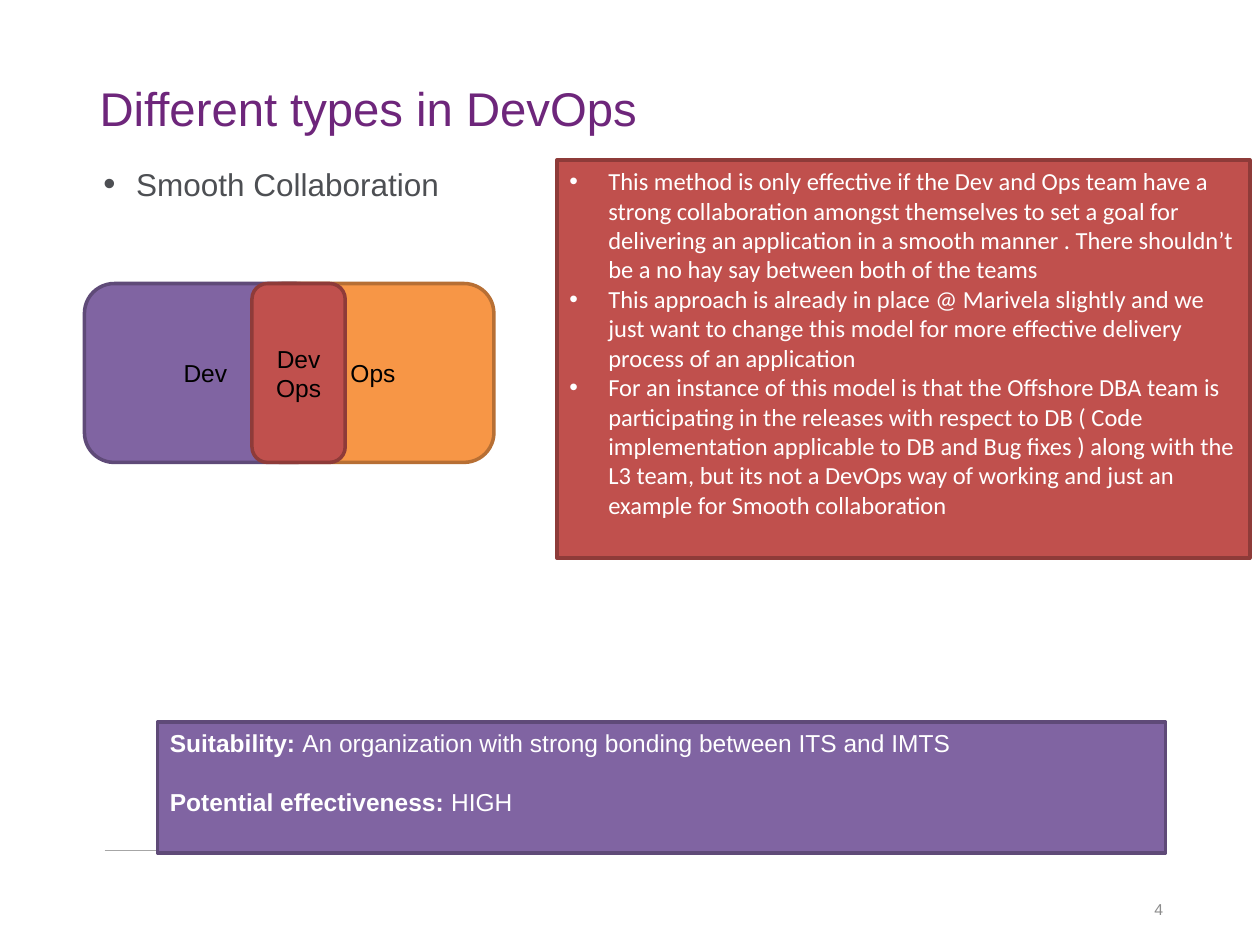
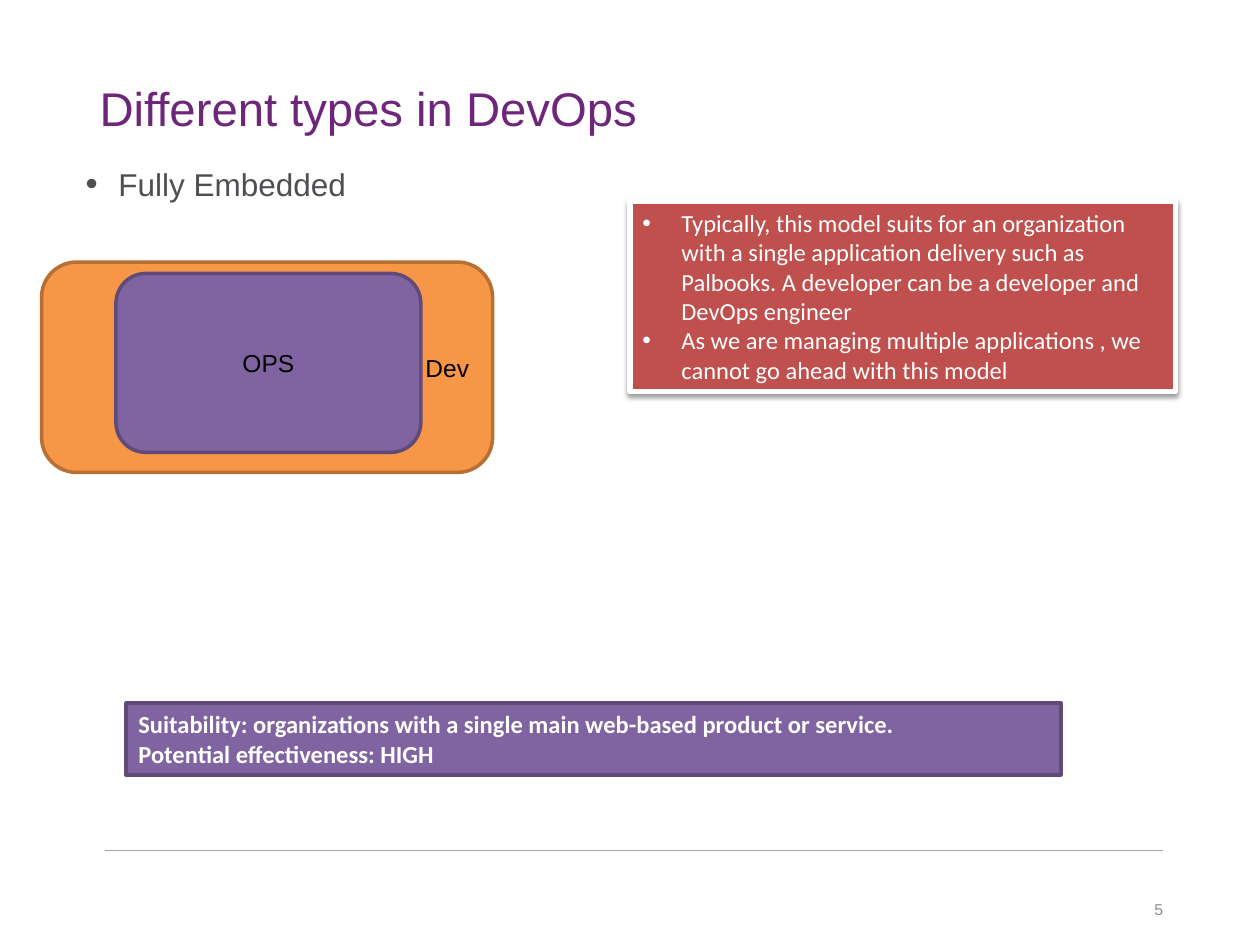
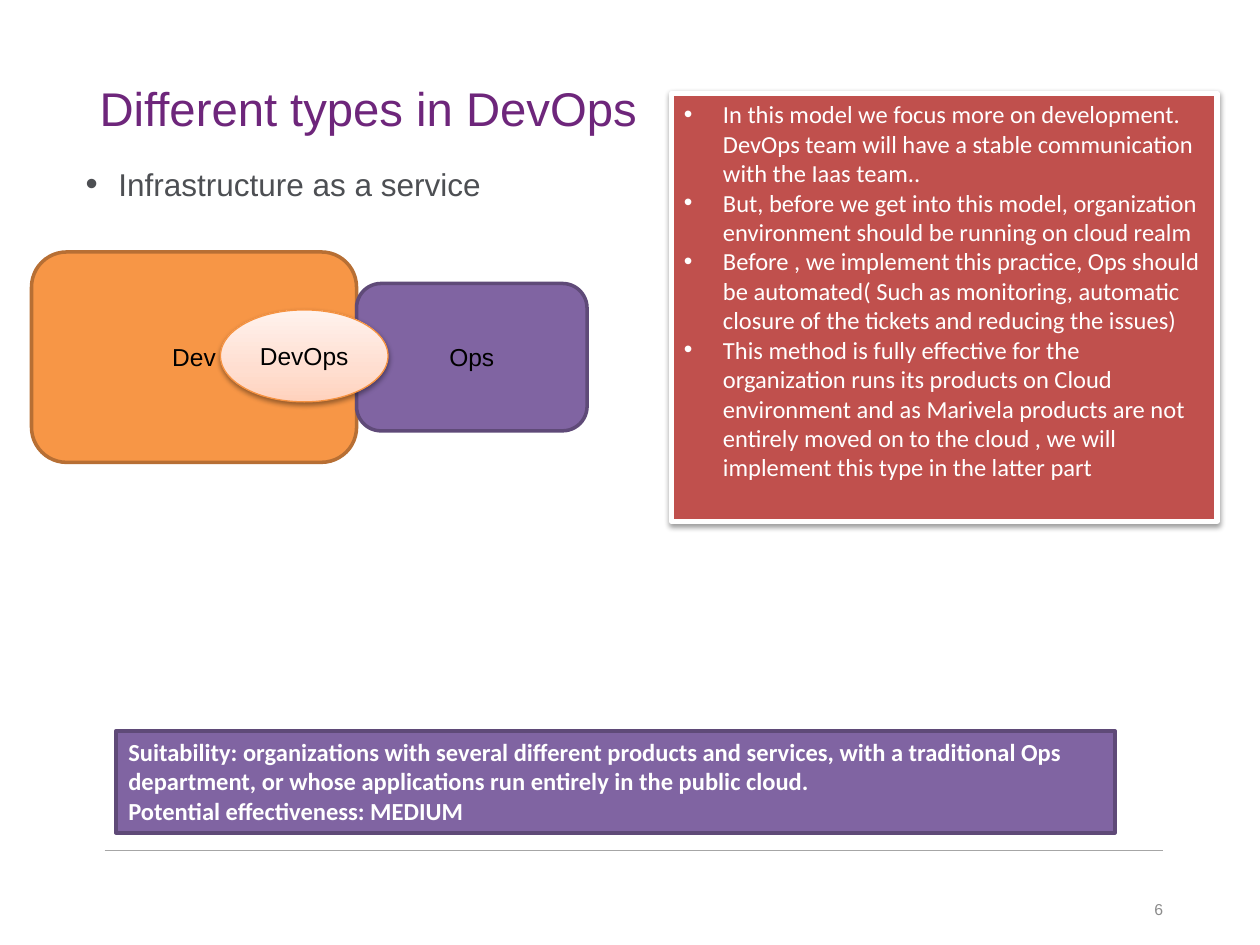
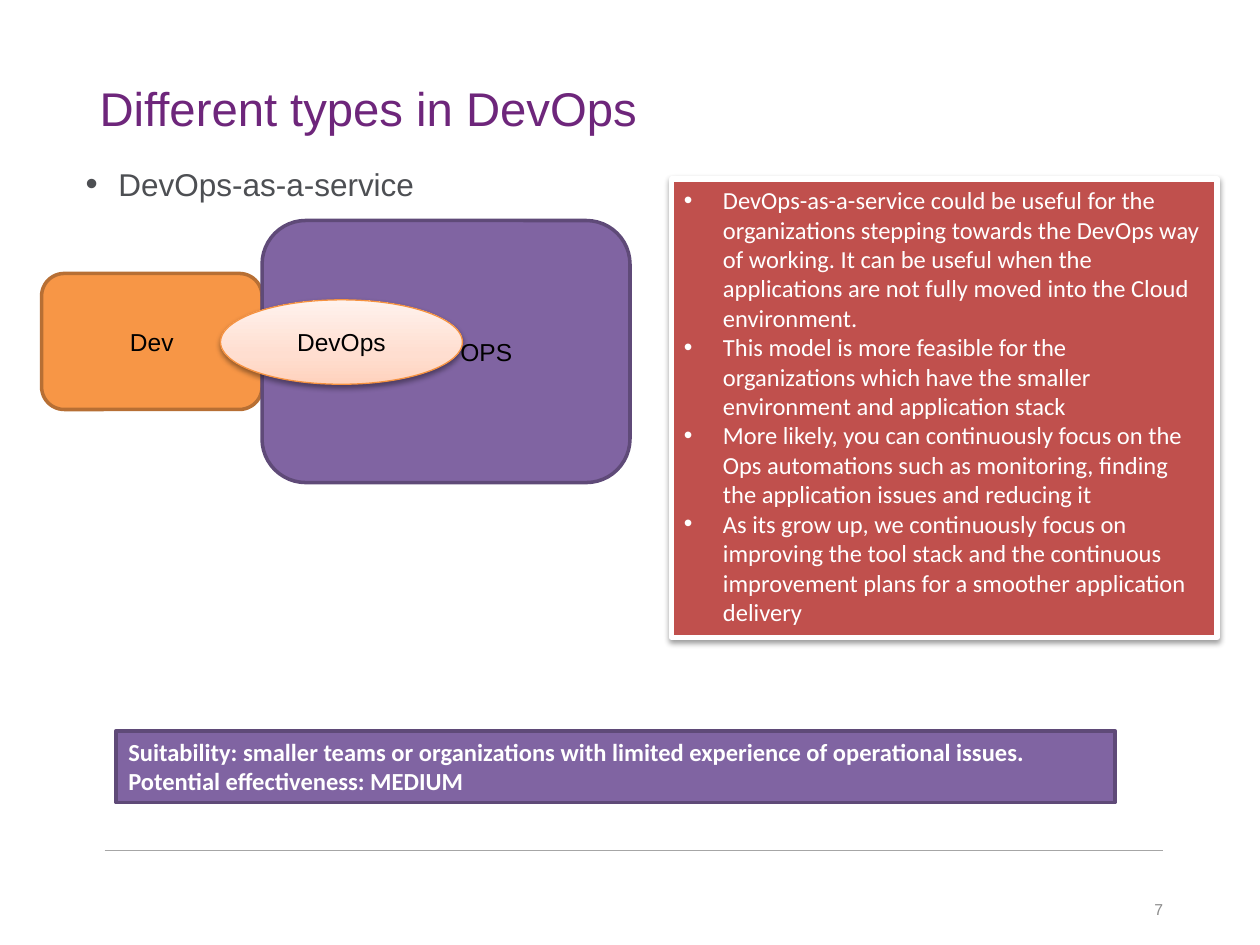
from dataclasses import dataclass
from pptx import Presentation
from pptx.dml.color import RGBColor
from pptx.enum.shapes import MSO_CONNECTOR, MSO_SHAPE
from pptx.enum.text import MSO_ANCHOR, MSO_AUTO_SIZE, PP_ALIGN
from pptx.oxml import parse_xml
from pptx.oxml.ns import nsdecls, qn
from pptx.util import Inches, Pt

RECT, ROUNDED, OVAL = MSO_SHAPE.RECTANGLE, MSO_SHAPE.ROUNDED_RECTANGLE, MSO_SHAPE.OVAL
STRAIGHT = MSO_CONNECTOR.STRAIGHT
TOP, MIDDLE = MSO_ANCHOR.TOP, MSO_ANCHOR.MIDDLE
LEFT, CENTER, RIGHT = PP_ALIGN.LEFT, PP_ALIGN.CENTER, PP_ALIGN.RIGHT
NO_AUTOFIT = MSO_AUTO_SIZE.NONE


@dataclass(frozen=True)
class Theme:
    """Colours, fonts and type sizes of the deck."""
    heading: str = "6E267B"
    body: str = "4D4F53"
    number: str = "8C8C8C"
    rule: str = "A6A6A6"
    white: str = "FFFFFF"
    black: str = "000000"
    purple: tuple = ("8064A2", "5F4A78")
    orange: tuple = ("F79646", "B76F34")
    red: tuple = ("C0504D", "8E3B39")
    oval_line: str = "F69240"
    oval_stops: tuple = ((0, "FFD2BD"), (35, "FFDED0"), (100, "FFF2ED"))
    sans: str = "Arial"
    text: str = "Calibri"
    title_size: float = 27
    topic_size: float = 18
    label_size: float = 14
    number_size: float = 9


THEME = Theme()
TITLE = "Different types in DevOps"
FIRST_NUMBER = 4
BODY_BOX = (0.33, 1.2, 9.5, 5.55)

SLIDES = [
    {
        "topic": "Smooth Collaboration",
        "body_box": (0.47, 1.2, 9.53, 5.45),
        "notes_box": (4.42, 1.27, 5.5, 3.16),
        "framed": False,
        "notes": [
            "This method is only effective if the Dev and Ops team have a strong collaboration amongst "
            "themselves to set a goal for delivering an application in a smooth manner . There "
            "shouldn\u2019t be a no hay say between both of the teams",
            "This approach is already in place @ Marivela slightly and we just want to change this "
            "model for more effective delivery process of an application",
            "For an instance of this model is that the Offshore DBA team is participating in the "
            "releases with respect to DB ( Code implementation applicable to DB and Bug fixes ) along "
            "with the L3 team, but its not a DevOps way of working and just an example for Smooth "
            "collaboration",
        ],
        "verdict_box": (1.25, 5.73, 8, 1.04),
        "verdict_font": THEME.sans,
        "verdict": [
            [("Suitability: ", True), ("An organization with strong bonding between ITS and IMTS", False)],
            [("Potential effectiveness: ", True), ("HIGH", False)],
        ],
        "teams": [
            ("Ops", THEME.orange, (2, 2.25, 1.92, 1.42), 0),
            ("Dev", THEME.purple, (0.67, 2.25, 1.92, 1.42), 0),
            ("DevOps", THEME.red, (2, 2.25, 0.74, 1.42), 0),
        ],
    },
    {
        "topic": "Fully Embedded",
        "notes_box": (5, 1.6, 4.33, 1.51),
        "notes": [
            "Typically, this model suits for an organization with a single application delivery such "
            "as Palbooks. A developer can be a developer and DevOps engineer",
            "As we are managing multiple applications , we cannot go ahead with this model",
        ],
        "verdict_box": (1, 5.58, 7.42, 0.57),
        "verdict": [[("Suitability: organizations with a single main web-based product or service."
                      "\vPotential effectiveness: HIGH", True)]],
        "teams": [
            ("Dev", THEME.orange, (0.33, 2.08, 3.58, 1.67), 2.86),
            ("OPS", THEME.purple, (0.92, 2.17, 2.42, 1.42), 0),
        ],
    },
    {
        "topic": "Infrastructure as a service",
        "notes_box": (5.33, 0.74, 4.33, 3.4),
        "notes": [
            "In this model we focus more on development. DevOps team will have a stable communication "
            "with the Iaas team..",
            "But, before we get into this model, organization environment should be running on cloud "
            "realm",
            "Before , we implement this practice, Ops should be automated( Such as monitoring, "
            "automatic closure of the tickets and reducing the issues)",
            "This method is fully effective for the organization runs its products on Cloud "
            "environment and as Marivela products are not entirely moved on to the cloud , we will "
            "implement this type in the latter part",
        ],
        "verdict_box": (0.92, 5.8, 7.93, 0.81),
        "verdict": [[("Suitability:\u00a0organizations with several different products and services, "
                      "with a traditional Ops department, or whose applications run entirely in the "
                      "public cloud.\vPotential effectiveness: MEDIUM", True)]],
        "teams": [
            ("Dev", THEME.orange, (0.25, 2, 2.58, 1.67), 0),
            ("Ops", THEME.purple, (2.83, 2.25, 1.83, 1.17), 0),
        ],
        "overlap": (1.75, 2.46, 1.33, 0.73),
    },
    {
        "topic": "DevOps-as-a-service",
        "notes_box": (5.33, 1.42, 4.33, 3.64),
        "notes": [
            "DevOps-as-a-service could be useful for the organizations stepping towards the DevOps "
            "way of working. It can be useful when the applications are not fully moved into the "
            "Cloud environment.",
            "This model is more feasible for the organizations which have the smaller environment "
            "and application stack",
            "More likely, you can continuously focus on the Ops automations such as monitoring, "
            "finding the application issues and reducing it",
            "As its grow up, we continuously focus on improving the tool stack and the continuous "
            "improvement plans for a smoother application delivery",
        ],
        "verdict_box": (0.92, 5.8, 7.93, 0.57),
        "verdict": [[("Suitability: smaller teams or organizations with limited experience of "
                      "operational issues.\vPotential effectiveness: MEDIUM", True)]],
        "teams": [
            ("Dev", THEME.orange, (0.33, 2.17, 1.75, 1.08), 0),
            ("OPS", THEME.purple, (2.08, 1.75, 2.92, 2.08), 0.64),
        ],
        "overlap": (1.75, 2.38, 1.92, 0.67),
    },
]


def rgb(value):
    """Turn a hex string into a colour."""
    return RGBColor.from_string(value)


def style_run(run, size, color, font, bold=False):
    """Format one run of text."""
    run.font.size, run.font.name, run.font.bold = Pt(size), font, bold
    run.font.color.rgb = rgb(color)


def style_paragraph(paragraph, size, color, font, align=LEFT):
    """Align a paragraph and format all its runs."""
    paragraph.alignment = align
    for run in paragraph.runs:
        style_run(run, size, color, font)


def set_indent(paragraph, margin, first=0):
    """Set the left margin and the first-line indent."""
    properties = paragraph._p.get_or_add_pPr()
    properties.set("marL", str(Inches(margin)))
    properties.set("indent", str(Inches(first)))
    return properties


def set_bullet(paragraph, margin, color, percent=100):
    """Give a paragraph a hanging round bullet."""
    hang = -0.26 if percent > 100 else -margin
    properties = set_indent(paragraph, margin, hang)
    for markup in (
        f'<a:buClr {nsdecls("a")}><a:srgbClr val="{color}"/></a:buClr>',
        f'<a:buSzPct {nsdecls("a")} val="{percent * 1000}"/>',
        f'<a:buFont {nsdecls("a")} typeface="{THEME.sans}"/>',
        f'<a:buChar {nsdecls("a")} char="\u2022"/>',
    ):
        properties.append(parse_xml(markup))


def place(shape, box):
    """Move and size a shape by left, top, width and height."""
    shape.left, shape.top, shape.width, shape.height = map(Inches, box)


def set_frame(shape, anchor):
    """Fix the wrapping and anchoring of a text frame."""
    frame = shape.text_frame
    frame.word_wrap, frame.auto_size, frame.vertical_anchor = True, NO_AUTOFIT, anchor
    return frame


def add_panel(slide, kind, box, fill, line, width, anchor):
    """Add a flat filled shape."""
    panel = slide.shapes.add_shape(kind, *map(Inches, box))
    panel.fill.solid()
    panel.fill.fore_color.rgb = rgb(fill)
    panel.line.color.rgb = rgb(line)
    panel.line.width = Pt(width)
    panel.shadow.inherit = False
    set_frame(panel, anchor)
    return panel


def add_shadow(shape):
    """Cast a soft shadow straight down."""
    shape.element.spPr.find(qn("a:effectLst")).append(parse_xml(
        f'<a:outerShdw {nsdecls("a")} blurRad="{Pt(3.1)}" dist="{Pt(1.6)}" dir="5400000" '
        f'rotWithShape="0"><a:srgbClr val="{THEME.black}"><a:alpha val="38000"/></a:srgbClr>'
        '</a:outerShdw>'))


def set_gradient(shape, stops):
    """Fill a shape with a gradient that runs upwards."""
    marks = "".join(f'<a:gs pos="{position * 1000}"><a:srgbClr val="{color}"/></a:gs>'
                    for position, color in stops)
    properties = shape.element.spPr
    properties.replace(properties.find(qn("a:solidFill")), parse_xml(
        f'<a:gradFill {nsdecls("a")} rotWithShape="1"><a:gsLst>{marks}</a:gsLst>'
        '<a:lin ang="16200000" scaled="0"/></a:gradFill>'))


def add_footer(slide, number):
    """Draw the footer rule and the slide number."""
    rule = slide.shapes.add_connector(STRAIGHT, *map(Inches, (0.83, 6.75, 9.23, 6.75)))
    rule.line.color.rgb = rgb(THEME.rule)
    rule.line.width = Pt(0.75)
    rule.element.spPr.append(parse_xml(f'<a:effectLst {nsdecls("a")}/>'))
    number_box = slide.shapes.add_textbox(*map(Inches, (7, 7.02, 2.33, 0.4)))
    frame = set_frame(number_box, MIDDLE)
    frame.text = str(number)
    style_paragraph(frame.paragraphs[0], THEME.number_size, THEME.number, THEME.sans, RIGHT)


def fill_placeholders(slide, topic, body_box):
    """Write the slide title and its topic bullet."""
    title, body = slide.shapes.title, slide.placeholders[1]
    place(title, (0.5, 0.5, 9, 0.7))
    heading = set_frame(title, MIDDLE)
    heading.text = TITLE
    style_paragraph(heading.paragraphs[0], THEME.title_size, THEME.heading, THEME.sans)
    set_indent(heading.paragraphs[0], 0.19)
    place(body, body_box)
    frame = set_frame(body, TOP)
    frame.text = topic
    paragraph = frame.paragraphs[0]
    style_paragraph(paragraph, THEME.topic_size, THEME.body, THEME.sans)
    paragraph.line_spacing, paragraph.space_before = 1.2, Pt(8.4)
    set_bullet(paragraph, 0.51, THEME.body, 110)


def add_notes_panel(slide, box, notes, framed):
    """Add the red panel of bulleted remarks."""
    fill, edge = THEME.red
    line, width = (THEME.white, 3) if framed else (edge, 2)
    panel = add_panel(slide, RECT, box, fill, line, width, TOP)
    if framed:
        add_shadow(panel)
    panel.text_frame.text = "\n".join(notes)
    for paragraph in panel.text_frame.paragraphs:
        style_paragraph(paragraph, THEME.label_size, THEME.white, THEME.text)
        set_bullet(paragraph, 0.31, THEME.white)


def add_verdict(slide, box, verdict, font):
    """Add the purple panel on suitability and effectiveness."""
    frame = add_panel(slide, RECT, box, *THEME.purple, 2, TOP).text_frame
    for index, parts in enumerate(verdict):
        paragraph = frame.add_paragraph() if index else frame.paragraphs[0]
        paragraph.alignment = LEFT
        paragraph.space_before = Pt(16.8 if index else 0)
        for wording, bold in parts:
            for position, line in enumerate(wording.split("\v")):
                if position:
                    paragraph.add_line_break()
                run = paragraph.add_run()
                run.text = line
                style_run(run, THEME.label_size, THEME.white, font, bold)


def set_label(shape, label):
    """Write a centred black label in a shape."""
    shape.text_frame.text = label
    style_paragraph(shape.text_frame.paragraphs[0], THEME.label_size, THEME.black, THEME.sans, CENTER)


def add_team(slide, label, colors, box, shift):
    """Add a rounded team block, its label pushed right by a shift."""
    team = add_panel(slide, ROUNDED, box, *colors, 2, MIDDLE)
    if shift:
        team.text_frame.margin_left, team.text_frame.margin_right = Inches(shift), 0
    set_label(team, label)


def add_overlap(slide, box):
    """Add the DevOps oval where the teams meet."""
    oval = add_panel(slide, OVAL, box, THEME.white, THEME.oval_line, 0.75, MIDDLE)
    set_gradient(oval, THEME.oval_stops)
    add_shadow(oval)
    set_label(oval, "DevOps")


def main():
    """Build the deck and save it."""
    deck = Presentation()
    deck.slide_width, deck.slide_height = Inches(10), Inches(7.5)
    for number, content in enumerate(SLIDES, FIRST_NUMBER):
        slide = deck.slides.add_slide(deck.slide_layouts[1])
        add_footer(slide, number)
        fill_placeholders(slide, content["topic"], content.get("body_box", BODY_BOX))
        add_notes_panel(slide, content["notes_box"], content["notes"], content.get("framed", True))
        add_verdict(slide, content["verdict_box"], content["verdict"],
                    content.get("verdict_font", THEME.text))
        for team in content["teams"]:
            add_team(slide, *team)
        if "overlap" in content:
            add_overlap(slide, content["overlap"])
    deck.save("out.pptx")


main()
